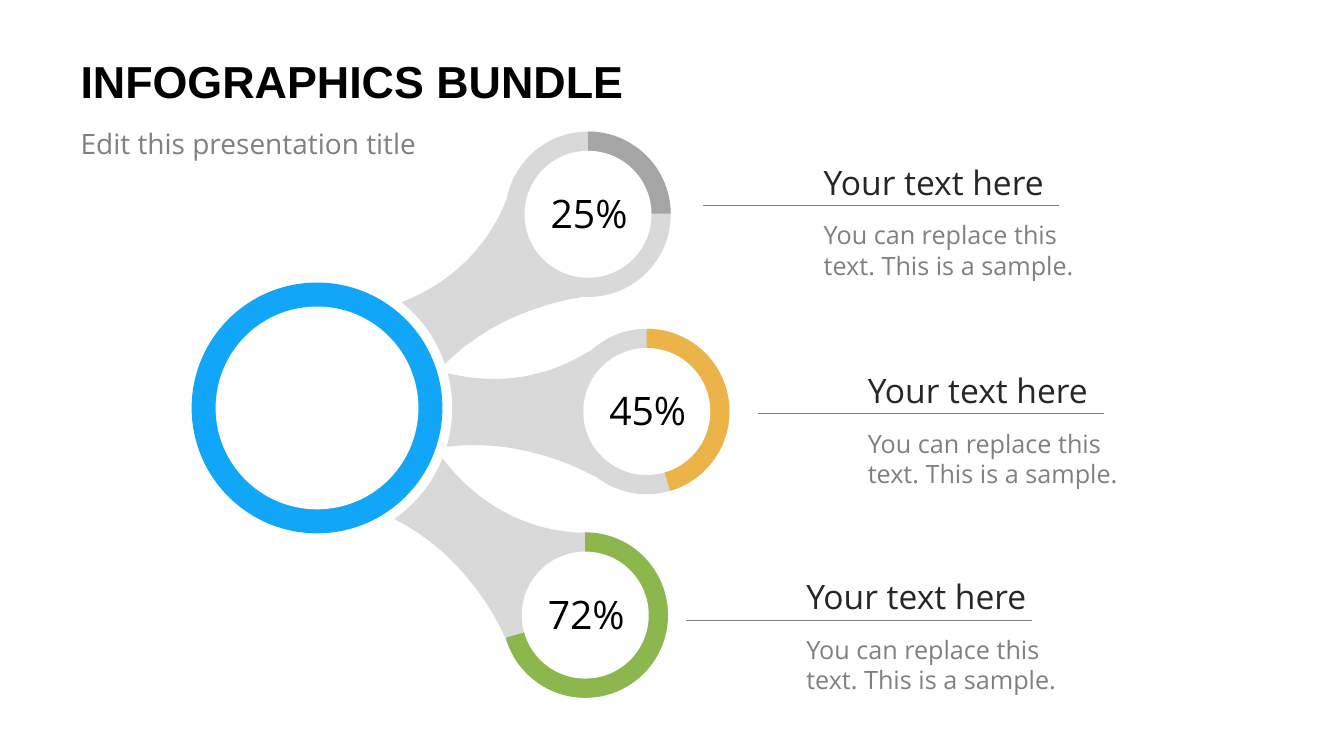
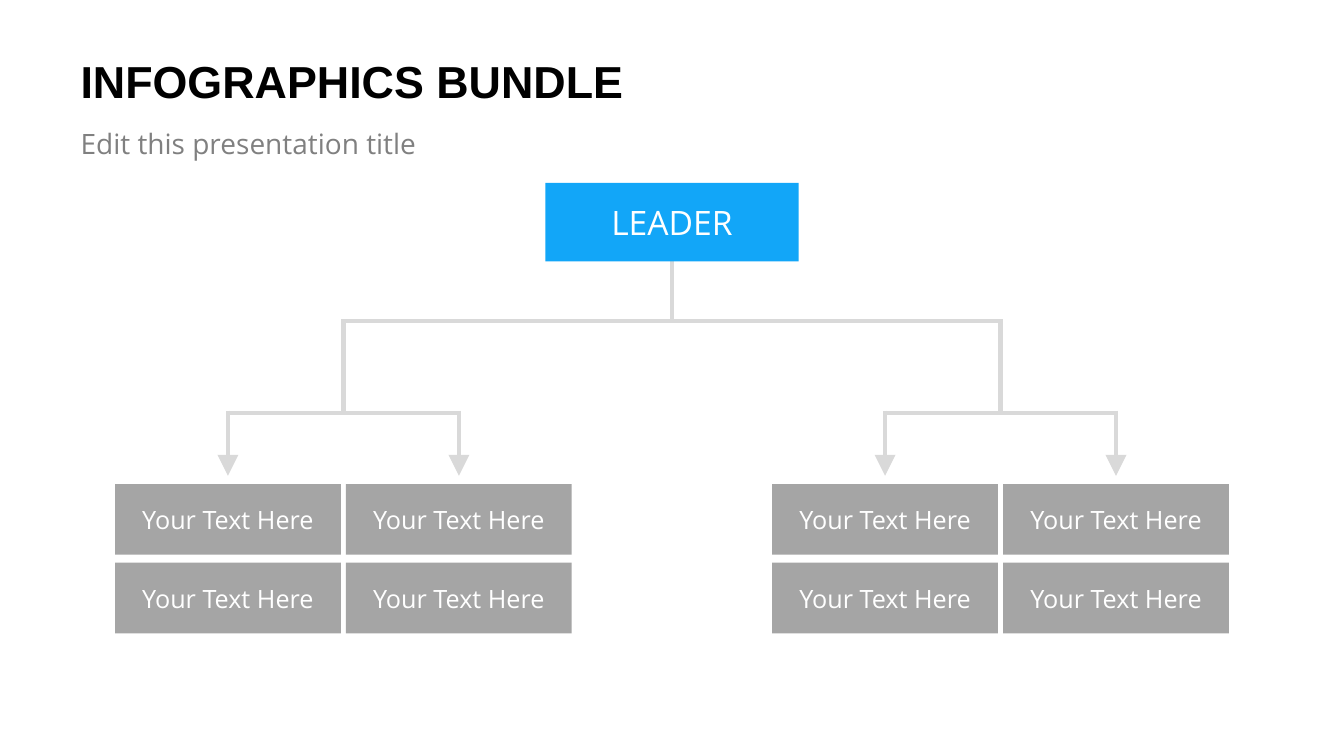
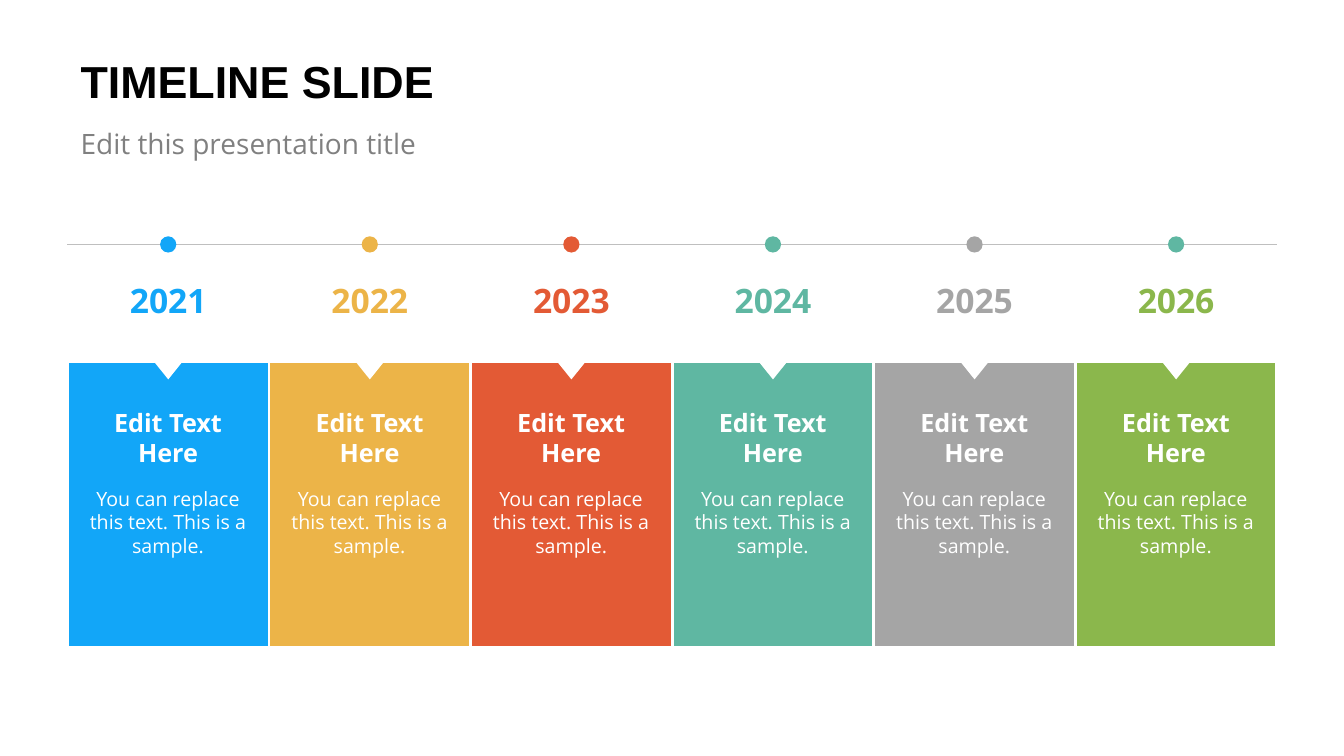
import lxml.etree
import pptx
import pptx.dml.color
import pptx.enum.shapes
import pptx.enum.text
import pptx.oxml.ns
import pptx.util

Cm = pptx.util.Cm
Pt = pptx.util.Pt
RGBColor = pptx.dml.color.RGBColor
PRESET = pptx.enum.shapes.MSO_SHAPE
ALIGN = pptx.enum.text.PP_ALIGN
ANCHOR = pptx.enum.text.MSO_ANCHOR
qn = pptx.oxml.ns.qn

# Shared style
BLACK = RGBColor(0x00, 0x00, 0x00)
WHITE = RGBColor(0xFF, 0xFF, 0xFF)
INK = RGBColor(0x26, 0x26, 0x26)
MUTED = RGBColor(0x80, 0x80, 0x80)
RULE = RGBColor(0xBF, 0xBF, 0xBF)
PALE = RGBColor(0xD9, 0xD9, 0xD9)
GRAY = RGBColor(0xA5, 0xA5, 0xA5)
BLUE = RGBColor(0x12, 0xA6, 0xF8)
AMBER = RGBColor(0xEC, 0xB4, 0x48)
RED = RGBColor(0xE3, 0x5A, 0x35)
TEAL = RGBColor(0x5F, 0xB7, 0xA2)
GREEN = RGBColor(0x8B, 0xB7, 0x4C)
TITLE_FONT = "Arial"
BODY_FONT = "Open Sans"
PAGE_WIDTH, PAGE_HEIGHT = 33.87, 19.05
SAMPLE = "You can replace this text. This is a sample."


# Elements; all positions are in centimetres
def write(shape, text, size, color, bold=False, font=BODY_FONT,
          align=ALIGN.LEFT, anchor=ANCHOR.TOP):
    frame = shape.text_frame
    frame.word_wrap = True
    frame.vertical_anchor = anchor
    para = frame.paragraphs[0]
    para.alignment = align
    span = para.add_run()
    span.text = text
    span.font.name = font
    span.font.size = Pt(size)
    span.font.bold = bold
    span.font.color.rgb = color


def add_text(page, left, top, width, height, text, size, color, **style):
    box = page.shapes.add_textbox(Cm(left), Cm(top), Cm(width), Cm(height))
    write(box, text, size, color, **style)
    return box


def paint(shape, fill, outline=None):
    shape.shadow.inherit = False
    shape.fill.solid()
    shape.fill.fore_color.rgb = fill
    if outline is None:
        shape.line.fill.background()
    else:
        shape.line.color.rgb = outline
        shape.line.width = Pt(2)


def add_preset(page, preset, left, top, width, height, fill, outline=None):
    shape = page.shapes.add_shape(preset, Cm(left), Cm(top), Cm(width), Cm(height))
    paint(shape, fill, outline)
    return shape


def add_round(page, x, y, diameter, fill, preset=PRESET.OVAL):
    return add_preset(page, preset, x - diameter / 2, y - diameter / 2,
                      diameter, diameter, fill)


def add_line(page, x1, y1, x2, y2, color, width, arrow=False):
    line = page.shapes.add_connector(pptx.enum.shapes.MSO_CONNECTOR.STRAIGHT,
                                     Cm(x1), Cm(y1), Cm(x2), Cm(y2))
    line.line.color.rgb = color
    line.line.width = Pt(width)
    properties = line.element.spPr
    if arrow:
        lxml.etree.SubElement(properties.ln, qn("a:tailEnd"),
                              type="triangle", w="lg", len="lg")
    lxml.etree.SubElement(properties, qn("a:effectLst"))


def set_insets(shape):
    frame = shape.text_frame
    frame.margin_left = frame.margin_right = Cm(0.33)
    frame.margin_top = frame.margin_bottom = Cm(0.18)


def start_page(deck, heading):
    page = deck.slides.add_slide(deck.slide_layouts.get_by_name("Title Only"))
    title = page.shapes.title
    title.left, title.top = Cm(1.7), Cm(1.04)
    title.width, title.height = Cm(21.59), Cm(1.98)
    set_insets(title)
    write(title, heading, 32, BLACK, bold=True, font=TITLE_FONT, anchor=ANCHOR.MIDDLE)
    set_insets(add_text(page, 1.7, 3.02, 11, 1.42,
                        "Edit this presentation title", 20, MUTED))
    return page


# Hub with percentage bubbles
def curve_segments(shape, first_indexes):
    """Turn three line segments from each given index into one cubic curve."""
    segments = list(shape.element.iter(qn("a:lnTo")))
    for first in first_indexes:
        curve = lxml.etree.Element(qn("a:cubicBezTo"))
        segments[first].addprevious(curve)
        for segment in segments[first:first + 3]:
            curve.append(segment[0])
            segment.getparent().remove(segment)


def add_neck(page, x, y, rotation):
    start, upper_tip = (-3, -1.88), (2.87, -1.37)
    lower_tip, end = (3, 1.8), (-2.97, 1.9)
    outline = [start, start, (-0.05, 0.48), upper_tip,
               lower_tip, lower_tip, (-0.08, -0.05), end,
               (-2.97, 0.61), (-2.82, -0.56), start]
    points = [(Cm(x + dx), Cm(y + dy)) for dx, dy in outline]
    builder = page.shapes.build_freeform(*points[0])
    builder.add_line_segments(points[1:], close=True)
    neck = builder.convert_to_shape()
    curve_segments(neck, (0, 4, 7))
    neck.rotation = rotation
    paint(neck, PALE)


def add_bubble(page, x, y, text, end_angle, color):
    add_round(page, x, y, 4.17, PALE)
    sector = add_round(page, x, y, 4.17, color, PRESET.PIE)
    for index, degrees in enumerate((270, end_angle)):
        sector.adjustments[index] = degrees * 0.6
    add_round(page, x, y, 3.2, WHITE)
    add_text(page, x - 1.59, y - 0.75, 3.23, 1.45, text, 28, BLACK, align=ALIGN.CENTER)


def add_callout(page, line_left, line_right, y, text_left):
    add_line(page, line_right, y, line_left, y, MUTED, 0.75)
    add_text(page, text_left, y + 0.23, 7.65, 1.7, SAMPLE, 18, MUTED)
    add_text(page, text_left, y - 1.23, 7.65, 1.22, "Your text here", 24, INK)


def build_hub(deck):
    page = start_page(deck, "INFOGRAPHICS BUNDLE")
    add_neck(page, 11.28, 7.8, 323.7)
    add_neck(page, 11.99, 10.21, 0)
    add_neck(page, 11.38, 12.8, 36.7)
    for diameter, color in ((6.81, WHITE), (6.32, BLUE), (5.11, WHITE)):
        add_round(page, 7.99, 10.28, diameter, color)
    add_bubble(page, 14.82, 5.4, "25%", 359.5, GRAY)
    add_bubble(page, 16.3, 10.37, "45%", 73.6, AMBER)
    add_bubble(page, 14.75, 15.5, "72%", 164.1, GREEN)
    add_callout(page, 17.71, 26.7, 5.18, 20.51)
    add_callout(page, 19.1, 27.81, 10.43, 21.62)
    add_callout(page, 17.28, 26.01, 15.63, 20.07)


# Organisation chart
def add_label_box(page, x, top, width, height, text, size, color):
    box = add_preset(page, PRESET.RECTANGLE, x - width / 2, top, width, height, color)
    write(box, text, size, WHITE, align=ALIGN.CENTER, anchor=ANCHOR.MIDDLE)


def build_chart(deck):
    page = start_page(deck, "INFOGRAPHICS BUNDLE")
    center, branch_gap, cell_gap = PAGE_WIDTH / 2, 8.28, 2.91
    trunk_y, branch_y, corner = 8.08, 10.4, 0.06
    add_line(page, center - branch_gap - corner, trunk_y,
             center + branch_gap + corner, trunk_y, PALE, 3)
    add_line(page, center, 6.5, center, trunk_y, PALE, 3)
    add_label_box(page, center, 4.61, 6.38, 1.98, "LEADER", 24, BLUE)
    for branch in (center - branch_gap, center + branch_gap):
        add_line(page, branch - cell_gap, branch_y, branch + cell_gap, branch_y, PALE, 3)
        add_line(page, branch, trunk_y, branch, branch_y, PALE, 3)
        for x in (branch - cell_gap, branch + cell_gap):
            add_line(page, x, branch_y - 0.05, x, 11.99, PALE, 3, arrow=True)
            for top in (12.2, 14.18):
                add_label_box(page, x, top, 5.69, 1.78, "Your Text Here", 18, GRAY)


# Timeline
def add_year(page, x, year, color, dot_color):
    card_top = 9.1
    add_preset(page, PRESET.RECTANGLE, x - 2.54, card_top, 5.08, 7.21, color, WHITE)
    notch = add_preset(page, PRESET.ISOSCELES_TRIANGLE, x - 0.37, card_top,
                       0.74, 0.46, WHITE)
    notch.rotation = 180
    add_text(page, x - 1.23, 6.93, 2.46, 1.27, year, 24, color, bold=True,
             align=ALIGN.CENTER, anchor=ANCHOR.MIDDLE)
    add_round(page, x, 6.16, 0.41, dot_color)
    add_text(page, x - 2.29, 12.14, 4.57, 2.06, SAMPLE, 14, WHITE, align=ALIGN.CENTER)
    add_text(page, x - 2.29, 10.13, 4.57, 1.8, "Edit Text Here", 18, WHITE,
             bold=True, align=ALIGN.CENTER)


def build_timeline(deck):
    page = start_page(deck, "TIMELINE SLIDE")
    left, pitch = 1.7, 5.08
    years = [("2021", BLUE, BLUE), ("2022", AMBER, AMBER), ("2023", RED, RED),
             ("2024", TEAL, TEAL), ("2025", GRAY, GRAY), ("2026", GREEN, TEAL)]
    add_line(page, left, 6.16, left + pitch * len(years), 6.16, RULE, 1)
    for index, (year, color, dot_color) in enumerate(years):
        add_year(page, left + pitch * (index + 0.5), year, color, dot_color)


def main():
    deck = pptx.Presentation()
    deck.slide_width, deck.slide_height = Cm(PAGE_WIDTH), Cm(PAGE_HEIGHT)
    build_hub(deck)
    build_chart(deck)
    build_timeline(deck)
    deck.save("out.pptx")


main()
